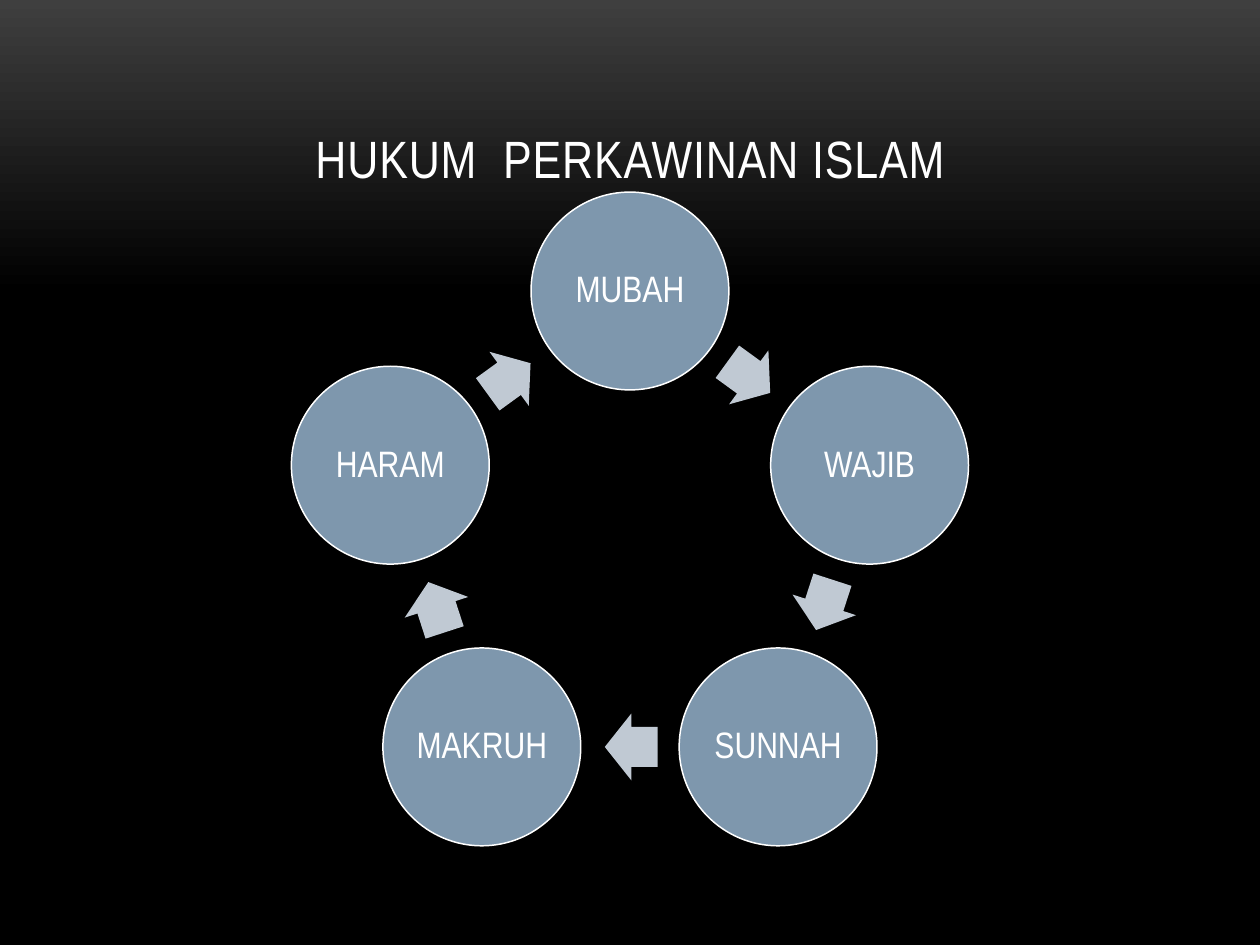
from dataclasses import dataclass
from math import cos, radians, sin

from pptx import Presentation
from pptx.dml.color import RGBColor
from pptx.enum.shapes import MSO_SHAPE
from pptx.enum.text import MSO_ANCHOR, PP_ALIGN
from pptx.util import Inches, Pt

WHITE = RGBColor(0xFF, 0xFF, 0xFF)
BLACK = RGBColor(0x00, 0x00, 0x00)
CHARCOAL = RGBColor(0x3F, 0x3F, 0x3F)
STEEL_BLUE = RGBColor(0x7E, 0x97, 0xAD)
PALE_BLUE = RGBColor(0xC0, 0xC9, 0xD3)

FONT = "Arial Narrow"
TITLE_FONT = {"name": FONT, "size": Pt(30)}
RULING_FONT = {"name": FONT, "size": Pt(21)}
TITLE_FRAME = {"word_wrap": True, "vertical_anchor": MSO_ANCHOR.BOTTOM}
INSET = Inches(0.03)
RULING_FRAME = {
    "word_wrap": True,
    "vertical_anchor": MSO_ANCHOR.MIDDLE,
    "margin_left": INSET,
    "margin_right": INSET,
    "margin_top": INSET,
    "margin_bottom": INSET,
}

RULINGS = ("MUBAH", "WAJIB", "SUNNAH", "MAKRUH", "HARAM")
STEP = 360 / len(RULINGS)
CENTER_X, CENTER_Y, RING_RADIUS = 5, 4.31, 2
DIAMETER = 1.57
ARROW_LENGTH, ARROW_WIDTH = 0.42, 0.53
ARROW_SETBACK = 0.01


@dataclass(frozen=True)
class Point:
    x: float
    y: float


@dataclass(frozen=True)
class Ruling:
    name: str
    center: Point


@dataclass(frozen=True)
class Arrow:
    center: Point
    rotation: float


def ring_point(angle: float, radius: float) -> Point:
    """Point at an angle in degrees clockwise from the top of the ring."""
    turn = radians(angle)
    return Point(CENTER_X + radius * sin(turn), CENTER_Y - radius * cos(turn))


def arrow_after(index: int) -> Arrow:
    """Arrow halfway along the straight line to the next ruling."""
    rotation = (index + 0.5) * STEP
    middle = ring_point(rotation, RING_RADIUS * cos(radians(STEP / 2)))
    turn = radians(rotation)
    center = Point(middle.x - ARROW_SETBACK * cos(turn),
                   middle.y - ARROW_SETBACK * sin(turn))
    return Arrow(center, rotation)


def apply_format(target, values: dict) -> None:
    for attribute, value in values.items():
        setattr(target, attribute, value)


def write_text(frame, text: str, frame_format: dict, font_format: dict):
    apply_format(frame, frame_format)
    paragraph = frame.paragraphs[0]
    paragraph.alignment = PP_ALIGN.CENTER
    run = paragraph.add_run()
    run.text = text
    apply_format(run.font, font_format)
    run.font.color.rgb = WHITE
    return run


def add_centered(slide, preset: MSO_SHAPE, center: Point,
                 width: float, height: float, color: RGBColor):
    shape = slide.shapes.add_shape(
        preset, Inches(center.x - width / 2), Inches(center.y - height / 2),
        Inches(width), Inches(height))
    shape.shadow.inherit = False
    shape.fill.solid()
    shape.fill.fore_color.rgb = color
    return shape


def draw_ruling(slide, ruling: Ruling) -> None:
    circle = add_centered(slide, MSO_SHAPE.OVAL, ruling.center,
                          DIAMETER, DIAMETER, STEEL_BLUE)
    circle.line.color.rgb = WHITE
    circle.line.width = Pt(0.85)
    write_text(circle.text_frame, ruling.name, RULING_FRAME, RULING_FONT)
    circle.text_frame.paragraphs[0].line_spacing = 0.9


def draw_arrow(slide, arrow: Arrow) -> None:
    shape = add_centered(slide, MSO_SHAPE.RIGHT_ARROW, arrow.center,
                         ARROW_LENGTH, ARROW_WIDTH, PALE_BLUE)
    shape.line.fill.background()
    shape.adjustments[0] = 0.6
    shape.adjustments[1] = 0.5
    shape.rotation = arrow.rotation


def draw_background(slide) -> None:
    fill = slide.background.fill
    fill.gradient()
    fill.gradient_angle = 270
    for stop, (position, color) in zip(fill.gradient_stops,
                                       ((0, CHARCOAL), (0.31, BLACK))):
        stop.position = position
        stop.color.rgb = color


def draw_title(slide) -> None:
    title = slide.shapes.add_textbox(Inches(0.67), Inches(0.3),
                                     Inches(8.67), Inches(1.25))
    run = write_text(title.text_frame, "HUKUM  PERKAWINAN ISLAM",
                     TITLE_FRAME, TITLE_FONT)
    run.font._element.set("spc", "50")


def main() -> None:
    presentation = Presentation()
    presentation.slide_width = Inches(10)
    presentation.slide_height = Inches(7.5)
    slide = presentation.slides.add_slide(presentation.slide_layouts[6])
    draw_background(slide)
    draw_title(slide)
    for index, name in enumerate(RULINGS):
        draw_ruling(slide, Ruling(name, ring_point(index * STEP, RING_RADIUS)))
        draw_arrow(slide, arrow_after(index))
    presentation.save("out.pptx")


if __name__ == "__main__":
    main()
